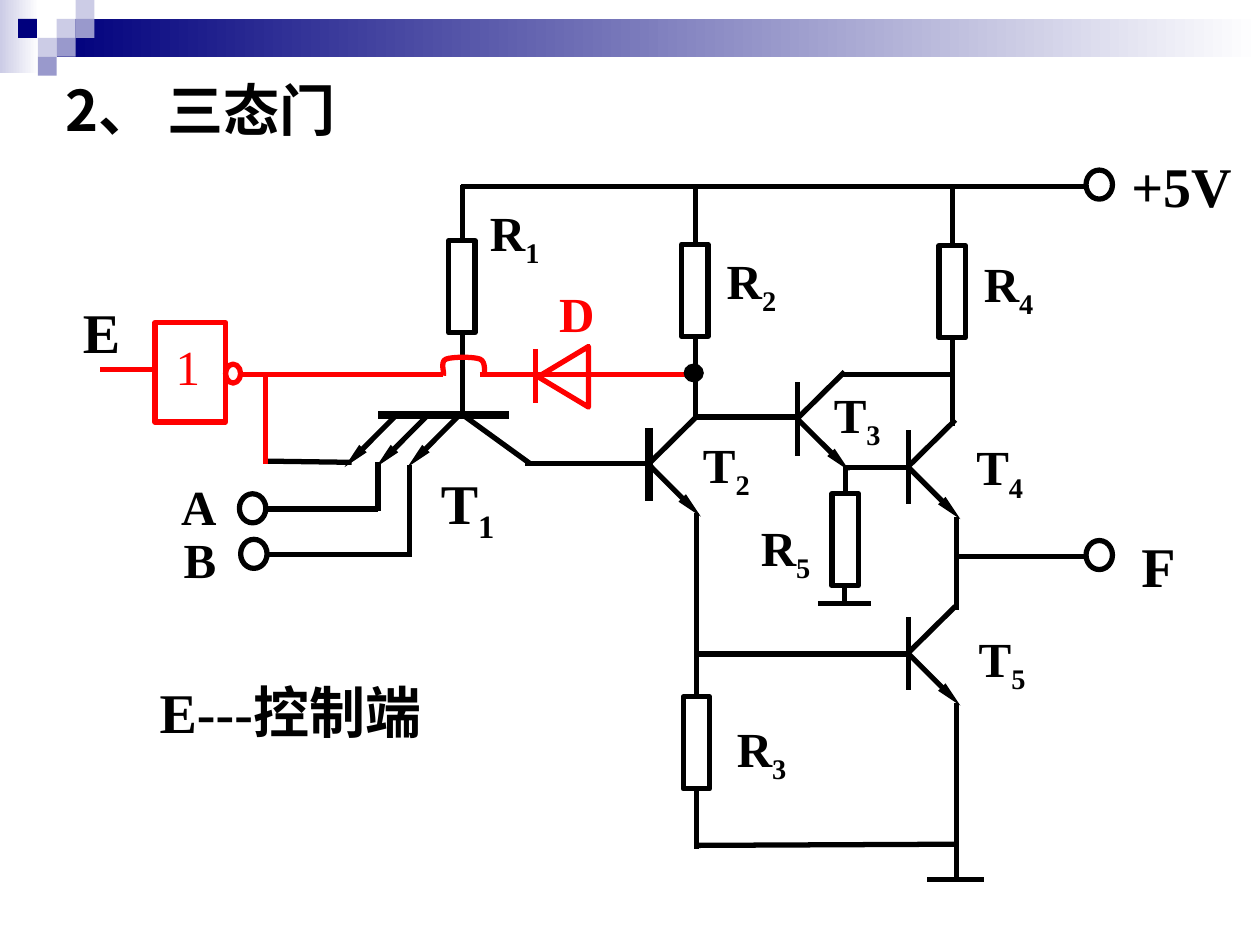
from pptx import Presentation
from pptx.dml.color import RGBColor
from pptx.enum.shapes import MSO_CONNECTOR, MSO_SHAPE
from pptx.enum.text import MSO_ANCHOR, MSO_AUTO_SIZE, PP_ALIGN
from pptx.oxml.ns import qn
from pptx.util import Pt
from lxml.etree import SubElement

BLACK = RGBColor(0, 0, 0)
RED = RGBColor(255, 0, 0)
WHITE = RGBColor(255, 255, 255)
NAVY = RGBColor(0, 0, 0x7D)
LILAC = RGBColor(0xCC, 0xCC, 0xE6)
VIOLET = RGBColor(0x99, 0x99, 0xCC)
SERIF, SANS = "Times New Roman", "Noto Sans CJK SC"

# Content, all lengths in points
TITLE = "2、 三态门"
BANDS = [(0, 0, 22.3, 41.8, LILAC), (32.4, 10.8, 687.6, 21.6, NAVY)]
TILE = 10.8
TILES = [(32.4, 10.8, LILAC), (43.2, 0, LILAC), (43.2, 10.8, VIOLET),
         (21.6, 21.6, LILAC), (10.3, 10.8, NAVY), (32.4, 21.6, VIOLET),
         (21.6, 32.4, VIOLET)]

# Left, top, width, height, text, subscript, size, colour
LABELS = [
    (639.4, 82.8, 99.4, 45.4, "+5V", "", 32, BLACK),
    (645.1, 300.2, 58.3, 45.4, "F", "", 32, BLACK),
    (272.9, 112.3, 82.8, 41, "R", "1", 28, BLACK),
    (408.2, 139.7, 82.8, 41, "R", "2", 28, BLACK),
    (414, 406.8, 80.6, 41, "R", "3", 28, BLACK),
    (555.1, 141.1, 82.8, 41, "R", "4", 28, BLACK),
    (427.7, 292.3, 49.7, 41, "R", "5", 28, BLACK),
    (244.8, 264.2, 56.9, 45.4, "T", "1", 32, BLACK),
    (394.6, 244.8, 48.2, 41, "T", "2", 28, BLACK),
    (469.4, 216, 77.8, 41, "T", "3", 28, BLACK),
    (550.8, 246.2, 52.6, 41, "T", "4", 28, BLACK),
    (552.2, 355.7, 52.6, 41, "T", "5", 28, BLACK),
    (96.5, 268.6, 55.4, 41, "A", "", 28, BLACK),
    (97.9, 298.8, 55.4, 41, "B", "", 28, BLACK),
    (84.2, 383.8, 172.8, 45.4, "E---控制端", "", 32, BLACK),
    (312.5, 158.4, 36, 41, "D", "", 28, RED),
    (40.3, 166.3, 46.8, 45.4, "E", "", 32, BLACK),
]
RESISTORS = [(264, 137.5), (397.1, 139.7), (398, 398.2), (544.1, 140.4), (483, 282.2)]
TRANSISTORS = [(370.8, 265.5, 4.5), (455.8, 239.5, 3), (519.1, 267, 3), (519.1, 373.5, 3)]
T1_EMITTERS = [262.8, 244.8, 226.8]
TERMINALS = [(620.6, 97.2), (620.6, 308.9), (136.8, 282.2), (137.5, 308.2)]
WIRES = [
    # Supply rail and its branches
    (263.5, 106.6, 622, 106.6), (264.2, 137, 264.2, 105.8),
    (397.4, 139.7, 397.4, 105.8), (544.3, 141, 544.3, 106.6),
    # T1 collector to T2, T2 to T3
    (264.2, 236.9, 264.2, 190.8), (264.2, 236.9, 303, 265),
    (300.2, 265, 370.8, 265), (397.4, 238.3, 397.4, 192.2),
    (455.8, 238.3, 397.4, 238.3),
    # T3, T4 and R5
    (481.7, 267.1, 519.1, 267.1), (481.7, 213.8, 544.3, 213.8),
    (544.3, 243.4, 544.3, 193), (483, 265.7, 483, 282.2),
    (482.4, 334.1, 482.4, 345.6), (467.3, 344.9, 497.5, 344.9),
    # T5, R3, ground and output
    (398.2, 293, 398.2, 398.2), (518.4, 373.7, 398.2, 373.7),
    (398.2, 450, 398.2, 485.3), (398.2, 483.1, 546.5, 482.4),
    (546.5, 295.2, 546.5, 348.5), (546.5, 401.8, 546.5, 503.3),
    (529.9, 502.6, 562.3, 502.6), (546.5, 318.2, 621.4, 318.2),
    # Inputs
    (200.9, 264.2, 150.5, 263.5), (216, 264.2, 216, 292.3),
    (216, 290.9, 151.9, 290.9), (234, 265.7, 234, 318.2),
    (235.4, 316.8, 153.4, 316.8),
]
CONTROL_WIRES = [
    (151.9, 265, 151.9, 213.8), (274.3, 213.8, 397.4, 213.8),
    (306, 199.4, 306, 230.4), (253.4, 213.8, 136.8, 213.8),
    (88.6, 211, 56.9, 211),
]
# Wire crossing: start, then Bezier segments
HOP = [((253.4, 214.6), (254.2, 213.1), (251.3, 206.6), (254.9, 205.2)),
       ((254.9, 205.2), (258.5, 203.8), (270.7, 203.8), (274.3, 205.2)),
       ((274.3, 205.2), (277.9, 206.6), (276.5, 213.1), (277.2, 214.6))]


def write(frame, text, subscript="", size=28, color=BLACK, font=SERIF,
          bold=True, align=PP_ALIGN.LEFT, wrap=True):
    frame.word_wrap = wrap
    frame.auto_size = MSO_AUTO_SIZE.SHAPE_TO_FIT_TEXT
    frame.vertical_anchor = MSO_ANCHOR.TOP
    paragraph = frame.paragraphs[0]
    paragraph.alignment = align
    for content, baseline in ((text, None), (subscript, "-25000")):
        if not content:
            continue
        run = paragraph.add_run()
        run.text = content
        run.font.size, run.font.bold, run.font.name = Pt(size), bold, font
        run.font.color.rgb = color
        properties = run._r.get_or_add_rPr()
        SubElement(properties, qn("a:ea")).set("typeface", SANS)
        if baseline:
            properties.set("baseline", baseline)


def add_shape(kind, left, top, width, height, line=None, fill=None, weight=3):
    shape = shapes.add_shape(kind, Pt(left), Pt(top), Pt(width), Pt(height))
    shape.shadow.inherit = False
    if fill is None:
        shape.fill.background()
    else:
        shape.fill.solid()
        shape.fill.fore_color.rgb = fill
    if line is None:
        shape.line.fill.background()
    else:
        shape.line.color.rgb, shape.line.width = line, Pt(weight)
    return shape


def add_wire(x1, y1, x2, y2, color=BLACK, weight=3, arrow=False):
    wire = shapes.add_connector(MSO_CONNECTOR.STRAIGHT, Pt(x1), Pt(y1), Pt(x2), Pt(y2))
    wire.line.color.rgb, wire.line.width = color, Pt(weight)
    if arrow:
        tail = SubElement(wire.line._get_or_add_ln(), qn("a:tailEnd"))
        for name, value in (("type", "triangle"), ("w", "sm"), ("len", "lg")):
            tail.set(name, value)
    SubElement(wire._element.spPr, qn("a:effectLst"))


def add_label(left, top, width, height, text, subscript, size, color, **formats):
    box = shapes.add_textbox(Pt(left), Pt(top), Pt(width), Pt(height))
    write(box.text_frame, text, subscript, size, color, **formats)


def bezier(segment, t):
    weights = ((1 - t) ** 3, 3 * t * (1 - t) ** 2, 3 * t * t * (1 - t), t ** 3)
    return tuple(Pt(sum(w * point[axis] for w, point in zip(weights, segment)))
                 for axis in (0, 1))


presentation = Presentation()
presentation.slide_width, presentation.slide_height = Pt(720), Pt(540)
slide = presentation.slides.add_slide(presentation.slide_layouts[5])
shapes = slide.shapes

# Header decoration
for left, top, width, height, color in BANDS:
    band = add_shape(MSO_SHAPE.RECTANGLE, left, top, width, height)
    band.fill.gradient()
    band.fill.gradient_angle = 0
    for stop, shade in zip(band.fill.gradient_stops, (color, WHITE)):
        stop.color.rgb = shade
for left, top, color in TILES:
    add_shape(MSO_SHAPE.RECTANGLE, left, top, TILE, TILE, fill=color)

# Title
title = shapes.title
title.left, title.top, title.width, title.height = Pt(30.2), Pt(39.6), Pt(200.9), Pt(45.4)
write(title.text_frame, TITLE, size=32, font=SANS)

# Transistors
add_wire(216, 236.9, 290.9, 236.9, weight=4.5)
for x in T1_EMITTERS:
    add_wire(x, 236.9, x - 30, 267, arrow=True)
for x, y, weight in TRANSISTORS:
    add_wire(x, y - 21, x, y + 21, weight=weight)
    add_wire(x, y, x + 29.7, y + 29.7, arrow=True)
    add_wire(x, y - 0.5, x + 26.8, y - 27)

# Resistors, wires and terminals
for x, top in RESISTORS:
    add_shape(MSO_SHAPE.RECTANGLE, x - 7.6, top, 15.1, 52.6, line=BLACK)
for wire in WIRES:
    add_wire(*wire)
for left, top in TERMINALS:
    add_shape(MSO_SHAPE.OVAL, left, top, 15.1, 16.6, line=BLACK)

# Control branch: inverter, wire hop and diode
for wire in CONTROL_WIRES:
    add_wire(*wire, color=RED)
builder = shapes.build_freeform(*bezier(HOP[0], 0), scale=1.0)
builder.add_line_segments([bezier(segment, step / 8) for segment in HOP
                           for step in range(1, 9)], close=False)
hop = builder.convert_to_shape()
hop.shadow.inherit = False
hop.fill.background()
hop.line.color.rgb, hop.line.width = RED, Pt(3)
diode = add_shape(MSO_SHAPE.ISOSCELES_TRIANGLE, 304.6, 200.9, 34.6, 28.8, line=RED)
diode.rotation = 270
add_shape(MSO_SHAPE.RECTANGLE, 88.6, 184.3, 40.3, 56.9, line=RED)
add_shape(MSO_SHAPE.OVAL, 128.9, 208.1, 8.6, 10.8, line=RED)
add_shape(MSO_SHAPE.OVAL, 391, 208.1, 10.8, 10.1, line=BLACK, fill=BLACK, weight=0.75)

# Labels
for label in LABELS:
    add_label(*label)
add_label(92.9, 188.6, 28.8, 41, "1", "", 28, RED, bold=False,
          align=PP_ALIGN.CENTER, wrap=False)

presentation.save("out.pptx")
